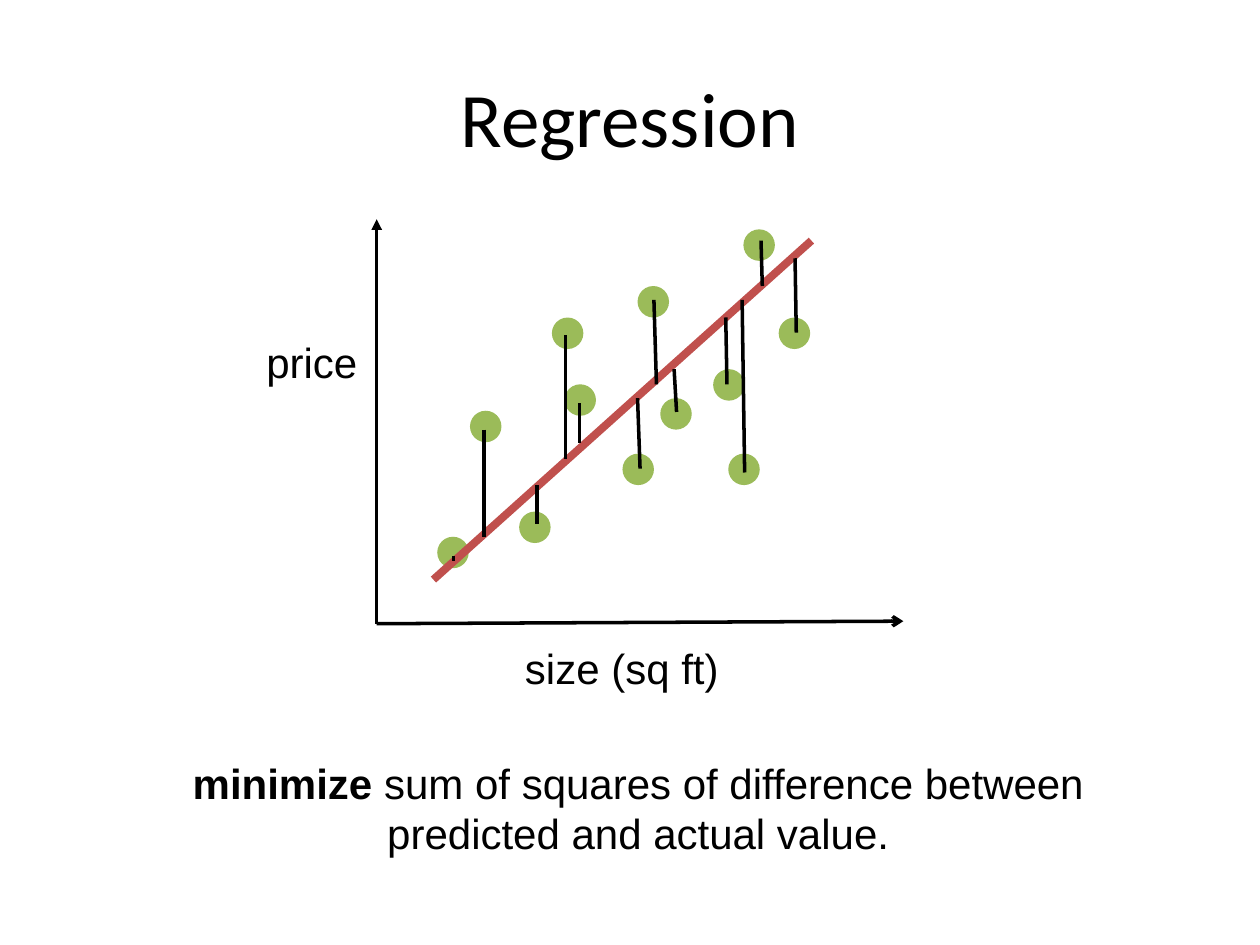
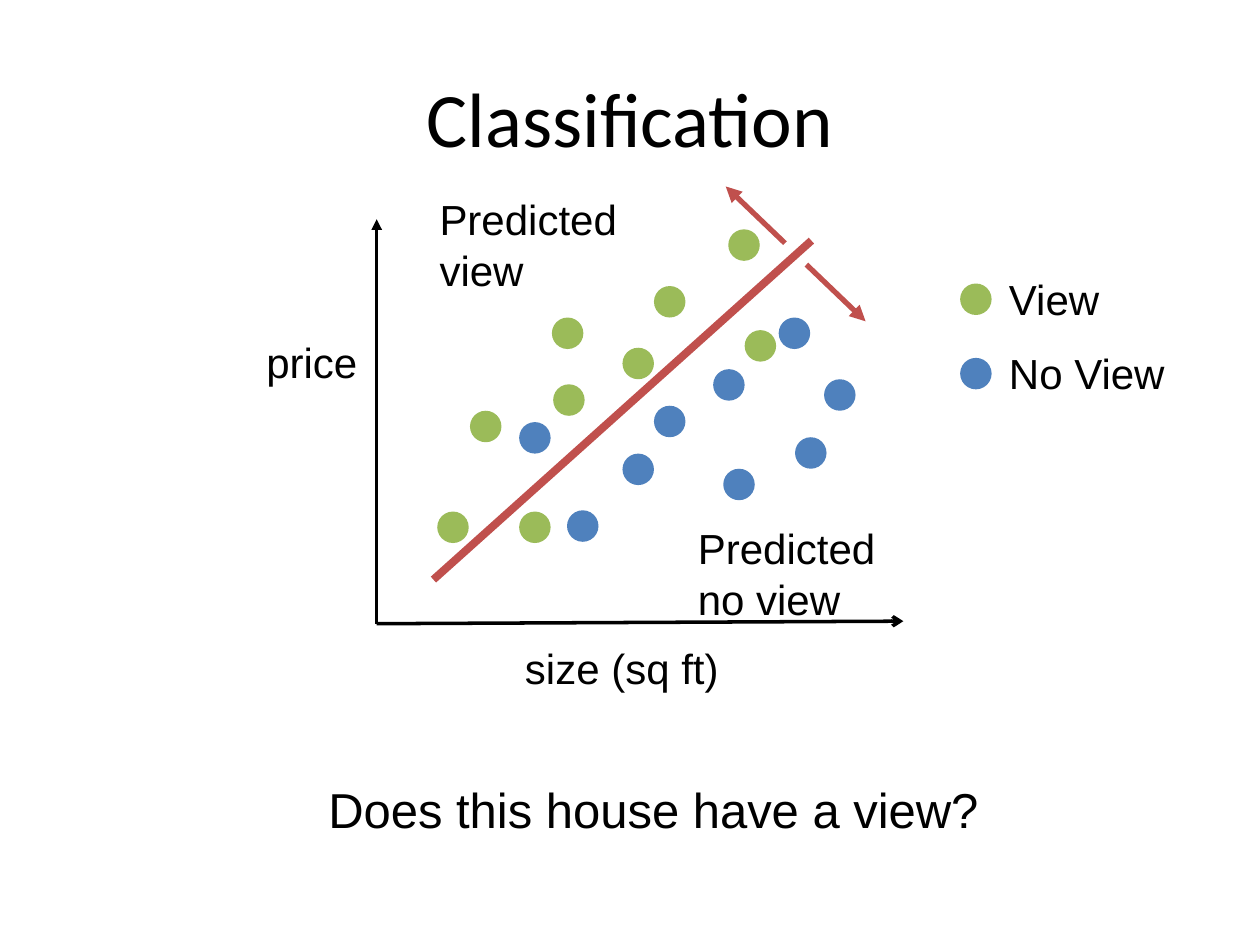
from dataclasses import dataclass
from typing import NamedTuple

from lxml import etree
from pptx import Presentation
from pptx.dml.color import RGBColor
from pptx.enum import shapes, text
from pptx.oxml import ns
from pptx.slide import Slide
from pptx.util import Inches, Pt


@dataclass(frozen=True)
class Theme:
    ink: RGBColor = RGBColor(0x00, 0x00, 0x00)
    green: RGBColor = RGBColor(0x9B, 0xBB, 0x59)
    blue: RGBColor = RGBColor(0x4F, 0x81, 0xBD)
    red: RGBColor = RGBColor(0xC0, 0x50, 0x4D)
    title_font: str = "Calibri"
    body_font: str = "Arial"
    title_size: int = 44
    question_size: int = 28
    body_size: int = 24
    thin: float = 2
    medium: float = 3
    thick: float = 4.5


THEME = Theme()
DOT_SIZE = 0.25
LEFT, CENTER = text.PP_ALIGN.LEFT, text.PP_ALIGN.CENTER


class Point(NamedTuple):
    x: float
    y: float


class Line(NamedTuple):
    start: Point
    end: Point
    color: RGBColor = THEME.ink
    width: float = THEME.thin
    arrow: str = ""


class Label(NamedTuple):
    words: str
    left: float
    top: float
    width: float
    height: float = 0.5
    align: text.PP_ALIGN = CENTER
    size: int = THEME.body_size
    bold_lead: str = ""


ORIGIN = Point(2.99, 4.95)
AXES = [
    Line(ORIGIN, Point(2.99, 1.74), arrow="triangle"),
    Line(ORIGIN, Point(7.17, 4.93), arrow="arrow"),
]
AXIS_LABELS = [
    Label("size (sq ft)", 3.98, 5.05, 1.91),
    Label("price", 1.96, 2.62, 1.03),
]
FIT_LINE = Line(Point(3.44, 4.6), Point(6.44, 1.91), THEME.red, THEME.thick)

# Dots are given by their top left corners.
HOUSES = [
    Point(4.38, 2.52), Point(4.94, 3.6), Point(5.24, 3.16), Point(3.73, 3.26),
    Point(4.48, 3.05), Point(3.47, 4.26), Point(5.66, 2.93), Point(6.18, 2.52),
    Point(5.9, 1.82), Point(5.78, 3.6), Point(5.06, 2.27), Point(4.12, 4.06),
]
RESIDUALS = [
    Line(Point(4.26, 3.85), Point(4.26, 4.16)),
    Line(Point(3.84, 3.41), Point(3.84, 4.26)),
    Line(Point(3.6, 4.45), Point(3.6, 4.41)),
    Line(Point(4.6, 3.2), Point(4.6, 3.52)),
    Line(Point(4.49, 2.66), Point(4.49, 3.64)),
    Line(Point(5.06, 3.16), Point(5.08, 3.72)),
    Line(Point(5.19, 2.38), Point(5.21, 3.05)),
    Line(Point(5.35, 2.93), Point(5.37, 3.27)),
    Line(Point(5.76, 2.52), Point(5.77, 3.05)),
    Line(Point(6.04, 1.91), Point(6.05, 2.27)),
    Line(Point(6.31, 2.05), Point(6.32, 2.64)),
    Line(Point(5.89, 2.38), Point(5.91, 3.75)),
]
GOAL = Label(" sum of squares of difference between predicted and actual value.",
             0.79, 5.96, 8.55, 0.91, bold_lead="minimize")

NO_VIEW_HOUSES = [
    Point(4.94, 3.6), Point(5.19, 3.22), Point(5.66, 2.93),
    Point(6.18, 2.52), Point(5.74, 3.72), Point(6.54, 3.01),
    Point(4.12, 3.35), Point(6.31, 3.47), Point(4.5, 4.05),
]
VIEW_HOUSES = [
    Point(4.38, 2.52), Point(3.73, 3.26), Point(4.39, 3.05),
    Point(3.47, 4.06), Point(5.78, 1.82), Point(5.19, 2.27),
    Point(4.12, 4.06), Point(4.94, 2.76), Point(5.91, 2.62),
]
LEGEND = [("View", THEME.green), ("No View", THEME.blue)]
LEGEND_DOT = Point(7.62, 2.25)
LEGEND_STEP = 0.59
SIDE_ARROWS = [
    Line(Point(6.23, 1.93), Point(5.76, 1.48), THEME.red, THEME.medium, "triangle"),
    Line(Point(6.4, 2.1), Point(6.87, 2.55), THEME.red, THEME.medium, "triangle"),
]
SIDE_LABELS = [
    Label("Predicted view", 3.39, 1.49, 1.8, 0.91, LEFT),
    Label("Predicted no view", 5.44, 4.1, 1.63, 0.91, LEFT),
]
QUESTION = Label("Does this house have a view?", 2.14, 6.14, 6.09, 0.57,
                 size=THEME.question_size)


def format_span(span, font: str, size: int, bold: bool = False) -> None:
    span.font.name = font
    span.font.size = Pt(size)
    span.font.bold = bold
    span.font.color.rgb = THEME.ink


def add_titled_slide(deck, title: str) -> Slide:
    slide = deck.slides.add_slide(deck.slide_layouts[5])
    box = slide.shapes.title
    box.left, box.top = Inches(0.5), Inches(0.3)
    box.width, box.height = Inches(9), Inches(1.25)
    box.text_frame.text = title
    box.text_frame.vertical_anchor = text.MSO_ANCHOR.MIDDLE
    para = box.text_frame.paragraphs[0]
    para.alignment = CENTER
    format_span(para.runs[0], THEME.title_font, THEME.title_size)
    return slide


def add_line(slide: Slide, line: Line) -> None:
    connector = slide.shapes.add_connector(
        shapes.MSO_CONNECTOR.STRAIGHT,
        Inches(line.start.x), Inches(line.start.y),
        Inches(line.end.x), Inches(line.end.y))
    connector.line.color.rgb = line.color
    connector.line.width = Pt(line.width)
    properties = connector._element.spPr
    if line.arrow:
        outline = properties.find(ns.qn("a:ln"))
        etree.SubElement(outline, ns.qn("a:tailEnd"), type=line.arrow)
    etree.SubElement(properties, ns.qn("a:effectLst"))


def add_dot(slide: Slide, corner: Point, color: RGBColor) -> None:
    dot = slide.shapes.add_shape(
        shapes.MSO_SHAPE.OVAL, Inches(corner.x), Inches(corner.y),
        Inches(DOT_SIZE), Inches(DOT_SIZE))
    dot.shadow.inherit = False
    dot.fill.solid()
    dot.fill.fore_color.rgb = color
    dot.line.fill.background()


def add_label(slide: Slide, label: Label) -> None:
    box = slide.shapes.add_textbox(
        Inches(label.left), Inches(label.top),
        Inches(label.width), Inches(label.height))
    frame = box.text_frame
    frame.word_wrap = True
    frame.auto_size = text.MSO_AUTO_SIZE.SHAPE_TO_FIT_TEXT
    para = frame.paragraphs[0]
    para.alignment = label.align
    for words, bold in ((label.bold_lead, True), (label.words, False)):
        if words:
            span = para.add_run()
            span.text = words
            format_span(span, THEME.body_font, label.size, bold)


def add_axes(slide: Slide) -> None:
    for axis in AXES:
        add_line(slide, axis)
    for label in AXIS_LABELS:
        add_label(slide, label)


def add_legend(slide: Slide) -> None:
    for row, (name, color) in enumerate(LEGEND):
        top = LEGEND_DOT.y + row * LEGEND_STEP
        add_dot(slide, Point(LEGEND_DOT.x, top), color)
        add_label(slide, Label(name, 7.91, top - 0.13, 1.8, align=LEFT))


def build_regression(deck) -> None:
    slide = add_titled_slide(deck, "Regression")
    add_axes(slide)
    for house in HOUSES:
        add_dot(slide, house, THEME.green)
    for line in [FIT_LINE, *RESIDUALS]:
        add_line(slide, line)
    add_label(slide, GOAL)


def build_classification(deck) -> None:
    slide = add_titled_slide(deck, "Classification")
    add_axes(slide)
    add_legend(slide)
    for houses, color in ((NO_VIEW_HOUSES, THEME.blue), (VIEW_HOUSES, THEME.green)):
        for house in houses:
            add_dot(slide, house, color)
    for line in [FIT_LINE, *SIDE_ARROWS]:
        add_line(slide, line)
    for label in [*SIDE_LABELS, QUESTION]:
        add_label(slide, label)


def main() -> None:
    deck = Presentation()
    deck.slide_width, deck.slide_height = Inches(10), Inches(7.5)
    build_regression(deck)
    build_classification(deck)
    deck.save("out.pptx")


if __name__ == "__main__":
    main()
